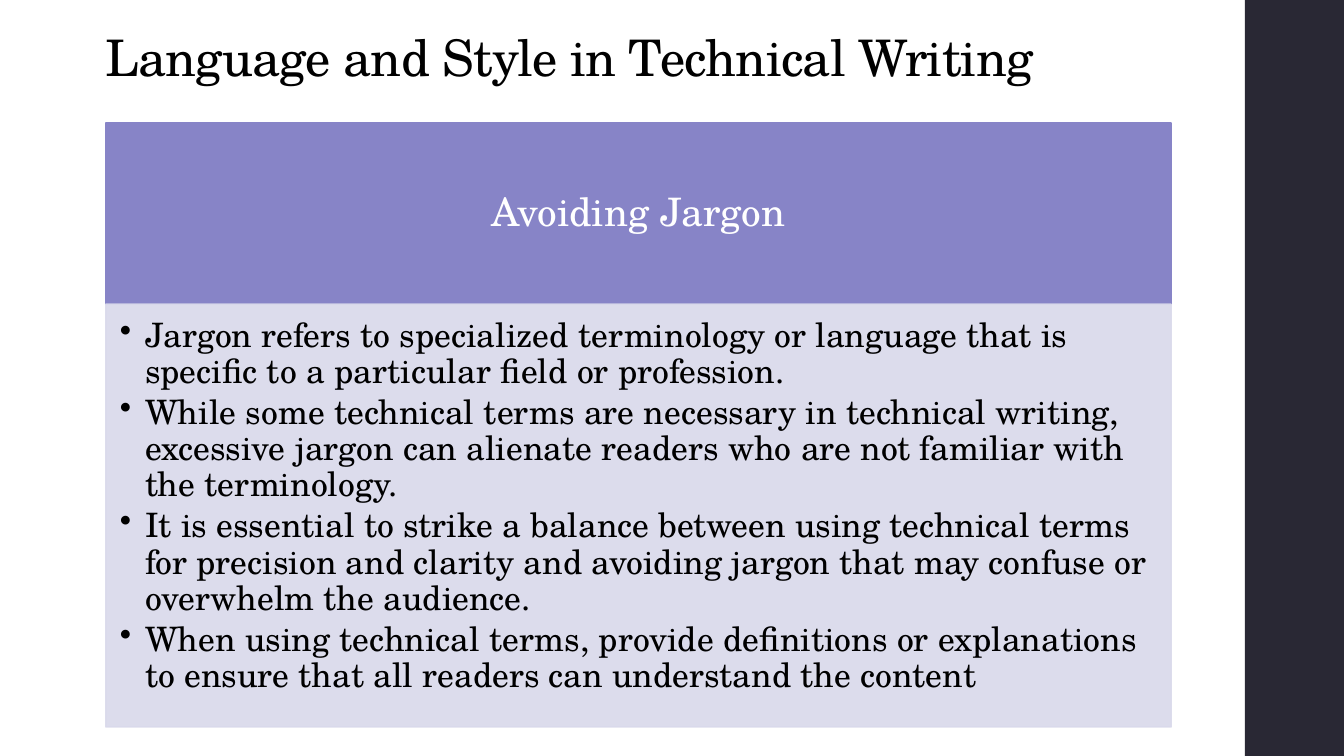
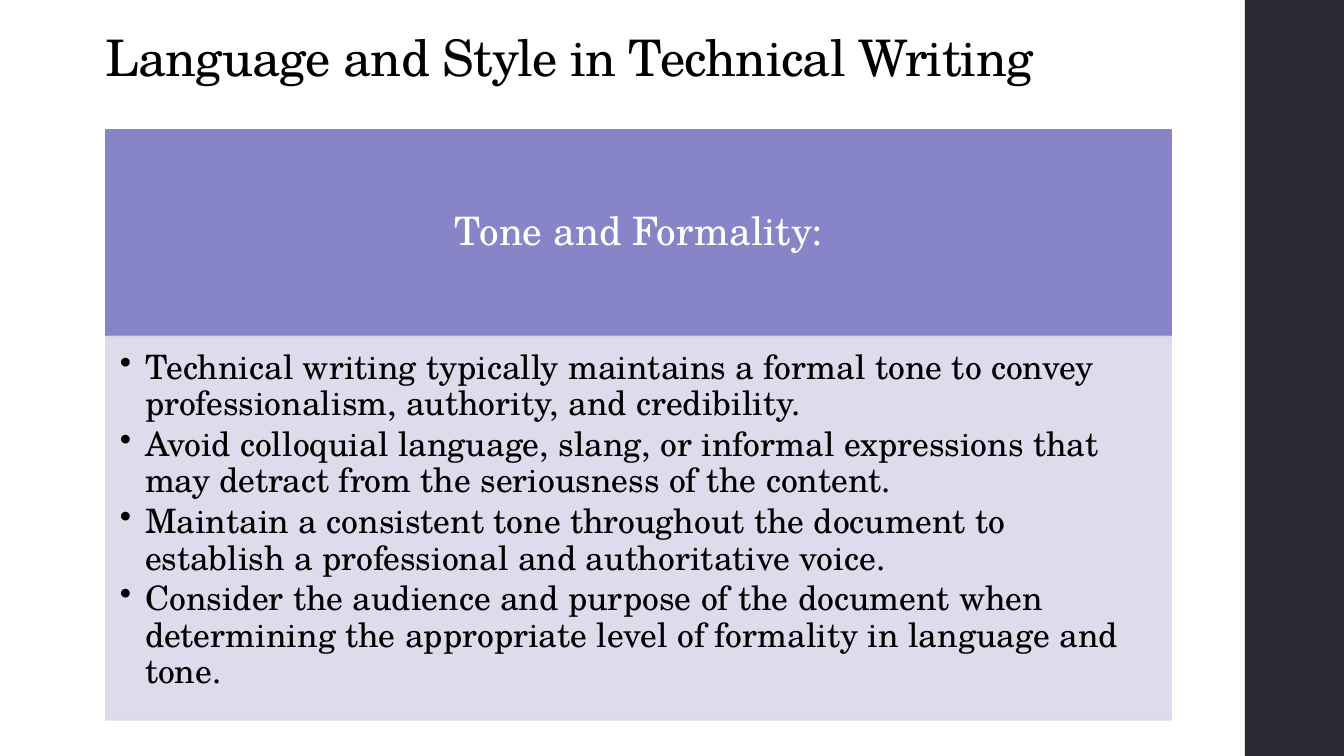
from lxml import etree
from pptx import Presentation
from pptx.dml.color import RGBColor
from pptx.enum.shapes import MSO_SHAPE as SHAPE
from pptx.enum.text import MSO_ANCHOR as ANCHOR, PP_ALIGN as ALIGN
from pptx.oxml.ns import qn
from pptx.util import Pt

# Content: heading, top of the panel, heading height, body height, bullets
TITLE = "Language and Style in Technical Writing"
PANELS = [
    ("Avoiding Jargon", 87.7, 129.6, 302, [
        "Jargon refers to specialized terminology or language that is specific "
        "to a particular field or profession.",
        "While some technical terms are necessary in technical writing, excessive "
        "jargon can alienate readers who are not familiar with the terminology.",
        "It is essential to strike a balance between using technical terms for "
        "precision and clarity and avoiding jargon that may confuse or overwhelm "
        "the audience.",
        "When using technical terms, provide definitions or explanations to ensure "
        "that all readers can understand the content",
    ]),
    ("Tone and Formality:", 92.7, 147.6, 273.9, [
        "Technical writing typically maintains a formal tone to convey "
        "professionalism, authority, and credibility.",
        "Avoid colloquial language, slang, or informal expressions that may "
        "detract from the seriousness of the content.",
        "Maintain a consistent tone throughout the document to establish a "
        "professional and authoritative voice.",
        "Consider the audience and purpose of the document when determining the "
        "appropriate level of formality in language and tone.",
    ]),
]

# Shared style
FONT = "TeX Gyre Schola"
BLACK, WHITE = "000000", "FFFFFF"
BAND, HEADING, BODY = "292834", "8784C7", "D9D9EB"
SLIDE_W, SLIDE_H = 960, 540
BAND_X = 889.2
PANEL_X, PANEL_W = 75.6, 761
TITLE_BOX = (68.4, 20.2, PANEL_W, 46)


def rgb(color):
    return RGBColor.from_string(color)


def set_alpha(color_format, percent):
    for clr in color_format.iter(qn("a:srgbClr")):
        etree.SubElement(clr, qn("a:alpha"), val=str(percent * 1000))


def add_rect(slide, box, color, outline=True, alpha=None):
    sp = slide.shapes.add_shape(SHAPE.RECTANGLE, *map(Pt, box))
    sp.shadow.inherit = False
    sp.fill.solid()
    sp.fill.fore_color.rgb = rgb(color)
    if outline:
        sp.line.color.rgb = rgb(color)
        sp.line.width = Pt(1.1)
    else:
        sp.line.fill.background()
    if alpha:
        set_alpha(sp.element.spPr, alpha)
    return sp


def add_bullet(p):
    pPr = p._p.get_or_add_pPr()
    pPr.set("marL", str(Pt(18)))
    pPr.set("indent", str(-Pt(18)))
    etree.SubElement(pPr, qn("a:buChar"), char="•")


def write(sp, lines, size, color, insets, anchor, align=ALIGN.LEFT,
          bullets=False, tracking=None):
    tf = sp.text_frame
    tf.word_wrap = True
    tf.vertical_anchor = anchor
    (tf.margin_left, tf.margin_top,
     tf.margin_right, tf.margin_bottom) = map(Pt, insets)
    for i, line in enumerate(lines):
        p = tf.add_paragraph() if i else tf.paragraphs[0]
        p.alignment = align
        p.line_spacing = 0.9
        if bullets:
            p.space_after = Pt(3.3)
            add_bullet(p)
        r = p.add_run()
        r.text = line
        r.font.name = FONT
        r.font.size = Pt(size)
        r.font.color.rgb = rgb(color)
        if tracking:
            r.font._element.set("spc", str(int(tracking * 100)))


def add_base(prs):
    """Blank slide with the side band and the title."""
    slide = prs.slides.add_slide(prs.slide_layouts[6])
    slide.background.fill.solid()
    slide.background.fill.fore_color.rgb = rgb(WHITE)
    add_rect(slide, (BAND_X, 0, SLIDE_W - BAND_X, SLIDE_H), BAND, outline=False)
    title = slide.shapes.add_textbox(*map(Pt, TITLE_BOX))
    write(title, [TITLE], 36, BLACK, (7.2, 3.6, 7.2, 3.6), ANCHOR.BOTTOM,
          tracking=-0.5)
    return slide


def add_panel(slide, heading, top, head_h, body_h, bullets):
    head = add_rect(slide, (PANEL_X, top, PANEL_W, head_h), HEADING)
    write(head, [heading], 28, WHITE, (15.6, 9, 15.6, 9), ANCHOR.MIDDLE,
          align=ALIGN.CENTER)
    body = add_rect(slide, (PANEL_X, top + head_h, PANEL_W, body_h), BODY, alpha=90)
    write(body, bullets, 24, BLACK, (10, 10, 13.4, 15), ANCHOR.TOP, bullets=True)


def main():
    prs = Presentation()
    prs.slide_width, prs.slide_height = Pt(SLIDE_W), Pt(SLIDE_H)
    for panel in PANELS:
        add_panel(add_base(prs), *panel)
    prs.save("out.pptx")


if __name__ == "__main__":
    main()
